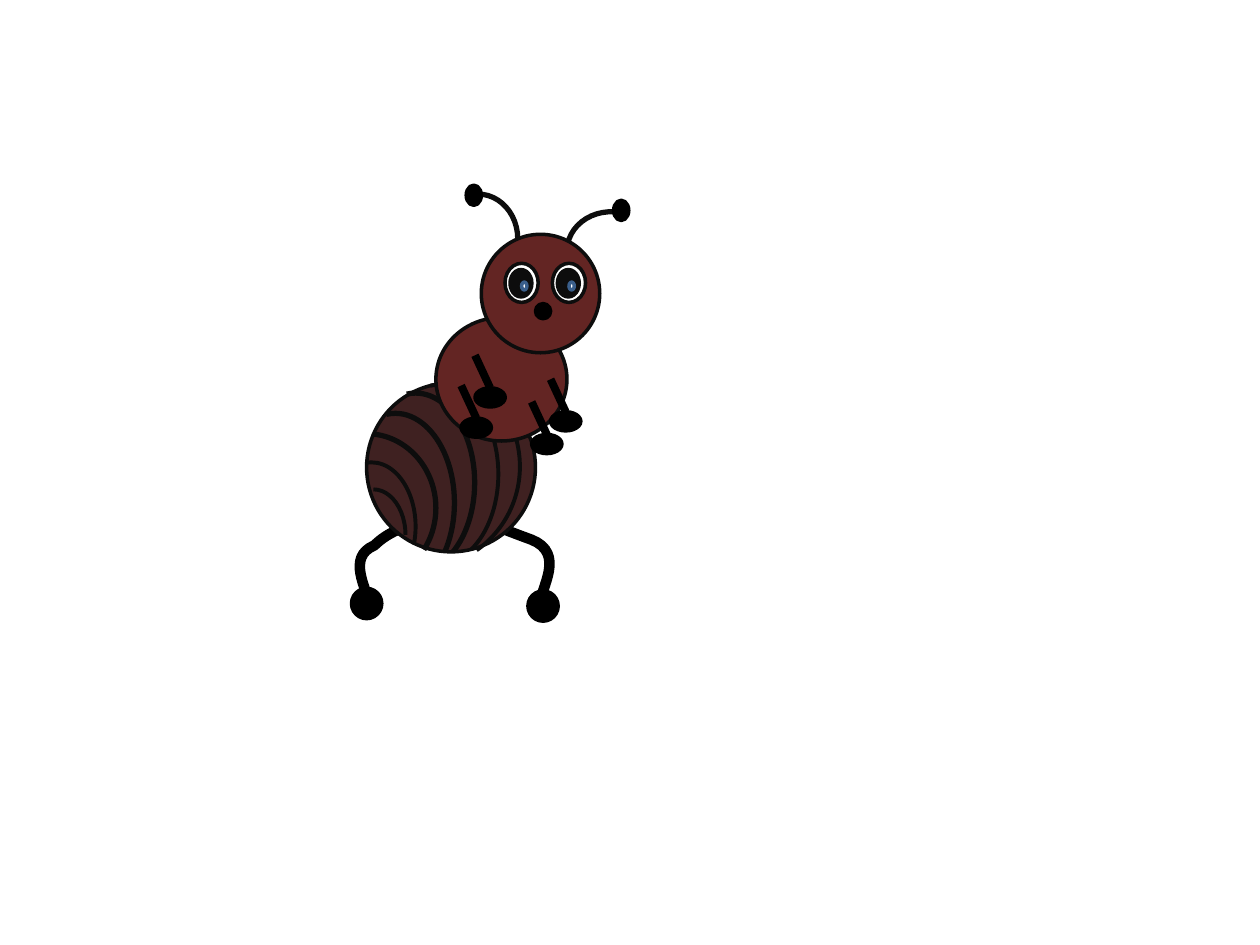
import pptx
import pptx.util
import pptx.dml.color
import pptx.enum.shapes
import pptx.oxml.ns
import lxml.etree

COLORS = {
    "black": "000000",
    "outline": "0D0D0D",
    "abdomen": "3F2121",
    "body": "632523",
    "white": "FFFFFF",
    "glint": "3A5F8C",
}
COLUMNS, ROWS = 1000, 750
SHAPE = pptx.enum.shapes.MSO_SHAPE

presentation = pptx.Presentation()
presentation.slide_width = pptx.util.Inches(10)
presentation.slide_height = pptx.util.Inches(7.5)
column = presentation.slide_width / COLUMNS
row = presentation.slide_height / ROWS


def color(name):
    return pptx.dml.color.RGBColor.from_string(COLORS[name])


def set_line(shape, name, width):
    shape.line.color.rgb = color(name)
    shape.line.width = pptx.util.Pt(width)


def part(box, left, top, width, height):
    return (box[0] + left * box[2], box[1] + top * box[3],
            width * box[2], height * box[3])


def add_preset(group, preset, box, line, width, fill=None):
    left, top, across, down = box
    shape = group.shapes.add_shape(
        preset, round(left * column), round(top * row),
        round(across * column), round(down * row))
    shape.shadow.inherit = False
    if fill:
        shape.fill.solid()
        shape.fill.fore_color.rgb = color(fill)
    else:
        shape.fill.background()
    set_line(shape, line, width)
    return shape


def add_ellipse(group, box, fill, line="outline"):
    return add_preset(group, SHAPE.OVAL, box, line, 2, fill)


def add_arc(group, box, width, angles=(162, 0), rotation=0):
    shape = add_preset(group, SHAPE.ARC, box, "outline", width)
    shape.adjustments[0], shape.adjustments[1] = angles
    shape.rotation = rotation


def curve_points(start, first, second, end, steps=16):
    for step in range(steps + 1):
        t = step / steps
        yield tuple(
            (1 - t) ** 3 * a + 3 * (1 - t) ** 2 * t * b
            + 3 * (1 - t) * t ** 2 * c + t ** 3 * d
            for a, b, c, d in zip(start, first, second, end))


def add_hind_leg(group, box, hip, knee, ankle):
    left, top, width, height = box
    upper = curve_points((hip, 0), (0.57 * hip + 0.09, 0.07), (0.14 * hip + 0.25, 0.13), knee)
    lower = curve_points(knee, (2 * knee[0] - 0.3 * hip - 0.35, 0.45), (ankle, 0.85), (ankle, 1))
    points = [((left + x * width) * column, (top + y * height) * row)
              for x, y in [*upper, *list(lower)[1:]]]
    builder = group.shapes.build_freeform(*map(round, points[0]))
    builder.add_line_segments([tuple(map(round, point)) for point in points[1:]], close=False)
    shape = builder.convert_to_shape()
    shape.shadow.inherit = False
    shape.fill.background()
    set_line(shape, "black", 6)


def add_abdomen(group, box):
    add_ellipse(group, box, "abdomen")
    stripes = [
        ((-0.18, 0.18, 0.7, 1.06), 3, (158.55, 26.74), 0),
        ((-0.06, 0.06, 0.7, 1.06), 3, (158.55, 36.8), 0),
        ((0.08, 0.01, 0.7, 1.06), 2.25, (158.55, 40.09), 0),
        ((-0.23, 0.47, 0.52, 0.76), 2.25, (158.88, 13.82), 0),
        ((-0.15, 0.63, 0.38, 0.54), 2.25, (162, 0), 0),
        ((-0.41, 0.3, 0.82, 0.88), 3, (165.52, 21.66), 0),
        ((-0.32, -0.12, 1.23, 1.22), 2.25, (163.36, 7.45), 42.1),
    ]
    for shares, width, angles, rotation in stripes:
        add_arc(group, part(box, *shares), width, angles, rotation)


def add_eye(group, box):
    add_ellipse(group, box, "white")
    add_ellipse(group, part(box, 0.15, 0.16, 0.66, 0.7), "outline")
    add_ellipse(group, part(box, 0.5, 0.48, 0.16, 0.2), "white", "glint")


def add_head(group, box):
    add_ellipse(group, box, "body")
    for left in (0.6, 0.2):
        add_eye(group, part(box, left, 0.245, 0.28, 0.33))


def add_front_leg(group, box):
    left, top, width, height = box
    foot = add_ellipse(group, part(box, 0, 0.63, 1, 0.37), "black", "black")
    leg = group.shapes.add_connector(
        pptx.enum.shapes.MSO_CONNECTOR.STRAIGHT,
        round(left * column), round(top * row),
        round((left + width / 2) * column), round((top + 0.63 * height) * row))
    leg.end_connect(foot, 0)
    set_line(leg, "black", 4.5)
    lxml.etree.SubElement(
        leg.element.spPr, pptx.oxml.ns.qn("a:effectLst"))


def add_ant(group):
    add_hind_leg(group, (291, 414, 44, 63), 1, (0.14, 0.3), 0.02)
    add_hind_leg(group, (375, 407, 55, 71), 0, (0.85, 0.3), 0.98)
    add_abdomen(group, (291, 304, 134, 134))
    add_arc(group, (348, 154, 63, 71), 3)
    add_arc(group, (454, 164, 63, 71), 3, rotation=273.2)
    add_ellipse(group, (346, 252, 104, 98), "body")
    add_head(group, (382, 186, 94, 94))
    for left, top in ((437, 301), (377, 282), (366, 306), (422, 319)):
        add_front_leg(group, (left, top, 24, 41))
    hind_feet = [(419, 469, 24, 24), (279, 467, 24, 24)]
    nose = (425, 241, 12, 12)
    antenna_tips = [(370, 147, 12, 16), (487, 159, 12, 16)]
    for box in [*hind_feet, nose, *antenna_tips]:
        add_ellipse(group, box, "black", "black")


slide = presentation.slides.add_slide(presentation.slide_layouts[6])
add_ant(slide.shapes.add_group_shape())
presentation.save("out.pptx")
